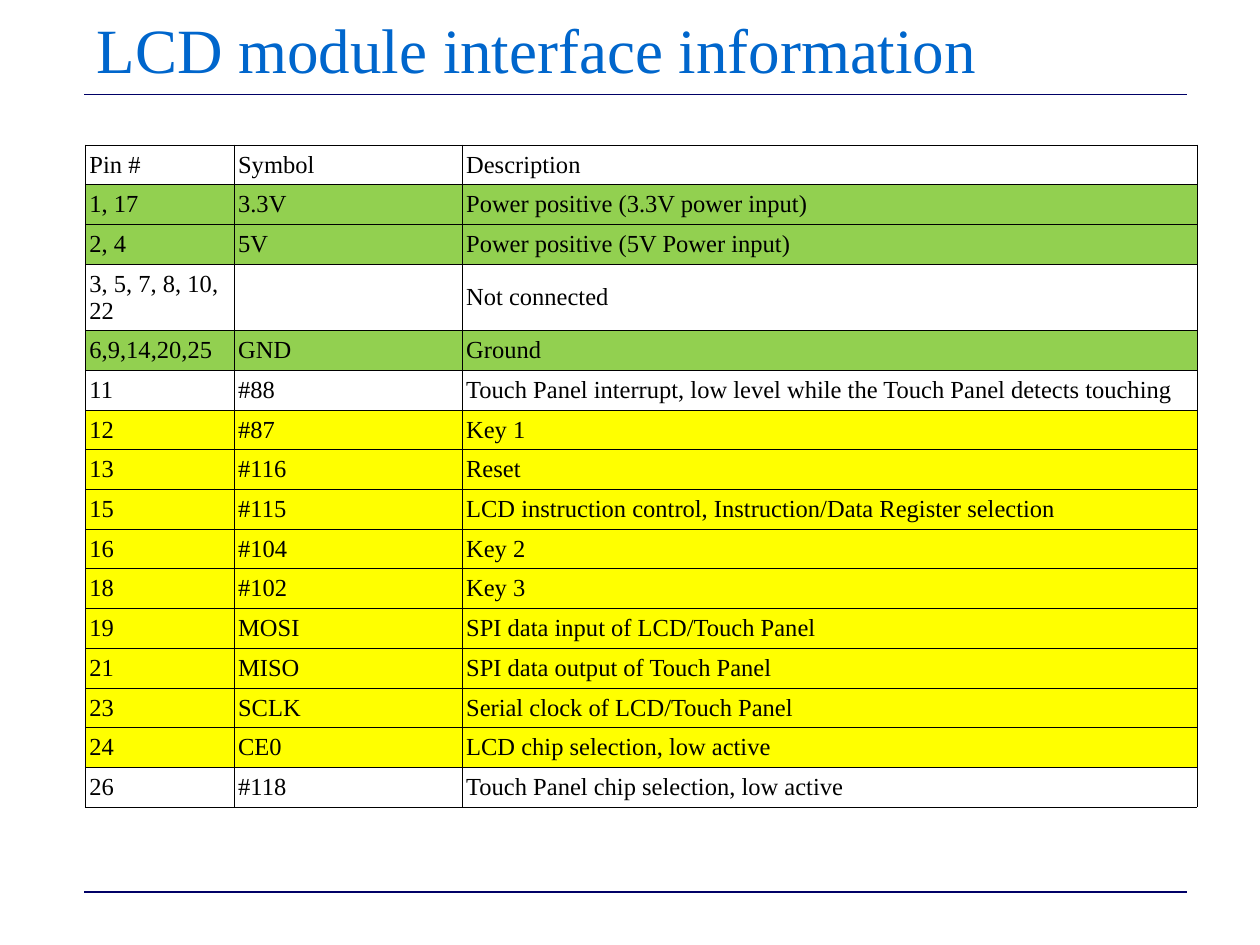
from lxml.etree import SubElement
from pptx import Presentation
from pptx.dml.color import RGBColor
from pptx.enum.shapes import MSO_CONNECTOR
from pptx.enum.text import MSO_ANCHOR
from pptx.oxml.ns import qn
from pptx.util import Inches, Pt

COLORS = {"rule": "000066", "title": "0066CC", "text": "000000",
          "power": "92D050", "signal": "FFFF00"}
FONT = "Times New Roman"


def format_text(text_frame, size, color):
    for paragraph in text_frame.paragraphs:
        for run in paragraph.runs:
            run.font.name = FONT
            run.font.size = Pt(size)
            run.font.color.rgb = RGBColor.from_string(COLORS[color])


def add_borders(cell):
    properties = cell._tc.get_or_add_tcPr()
    for side in ("a:lnL", "a:lnR", "a:lnT", "a:lnB"):
        line = SubElement(properties, qn(side), w=str(Pt(0.45)))
        fill = SubElement(line, qn("a:solidFill"))
        SubElement(fill, qn("a:srgbClr"), val=COLORS["text"])


presentation = Presentation()
presentation.slide_width = Inches(10)
presentation.slide_height = Inches(7.5)
slide = presentation.slides.add_slide(presentation.slide_layouts[6])

# Rules above and below the content
for y in (7.08, 0.75):
    rule = slide.shapes.add_connector(
        MSO_CONNECTOR.STRAIGHT, Inches(0.67), Inches(y), Inches(9.42), Inches(y))
    rule.line.color.rgb = RGBColor.from_string(COLORS["rule"])
    rule.line.width = Pt(1)
    SubElement(rule._element.spPr, qn("a:effectLst"))

# Title
title = slide.shapes.add_textbox(Inches(0.67), Inches(0.09), Inches(8.75), Inches(0.58))
title.text_frame.word_wrap = True
title.text_frame.vertical_anchor = MSO_ANCHOR.MIDDLE
title.text_frame.text = "LCD module interface information"
format_text(title.text_frame, 36, "title")

# Pin table: row colour, pin, symbol, description
pins = [
    (None, "Pin #", "Symbol", "Description"),
    ("power", "1, 17", "3.3V", "Power positive (3.3V power input)"),
    ("power", "2, 4", "5V", "Power positive (5V Power input)"),
    (None, "3, 5, 7, 8, 10, 22", "", "Not connected"),
    ("power", "6,9,14,20,25", "GND", "Ground"),
    (None, "11", "#88",
     "Touch Panel interrupt, low level while the Touch Panel detects touching"),
    ("signal", "12", "#87", "Key 1"),
    ("signal", "13", "#116", "Reset"),
    ("signal", "15", "#115",
     "LCD instruction control, Instruction/Data Register selection"),
    ("signal", "16", "#104", "Key 2"),
    ("signal", "18", "#102", "Key 3"),
    ("signal", "19", "MOSI", "SPI data input of LCD/Touch Panel"),
    ("signal", "21", "MISO", "SPI data output of Touch Panel"),
    ("signal", "23", "SCLK", "Serial clock of LCD/Touch Panel"),
    ("signal", "24", "CE0", "LCD chip selection, low active"),
    (None, "26", "#118", "Touch Panel chip selection, low active"),
]
table_height = Inches(5.26)
tall_row = Inches(0.53)
normal_row = (table_height - tall_row) // (len(pins) - 1)
table = slide.shapes.add_table(
    len(pins), 3, Inches(0.68), Inches(1.15), Inches(8.82), table_height).table
table.first_row = False
table.horz_banding = False
for column, width in zip(table.columns, (1.18, 1.81, 5.83)):
    column.width = Inches(width)

for row, (color, *texts) in zip(table.rows, pins):
    two_lines = texts[0] == "3, 5, 7, 8, 10, 22"
    row.height = tall_row if two_lines else normal_row
    for cell, text in zip(row.cells, texts):
        cell.margin_left = cell.margin_right = Inches(0.03)
        cell.margin_top = cell.margin_bottom = Inches(0.03)
        cell.vertical_anchor = MSO_ANCHOR.MIDDLE
        add_borders(cell)
        if color:
            cell.fill.solid()
            cell.fill.fore_color.rgb = RGBColor.from_string(COLORS[color])
        else:
            cell.fill.background()
        if text:
            cell.text_frame.text = text
            format_text(cell.text_frame, 14, "text")

presentation.save("out.pptx")
